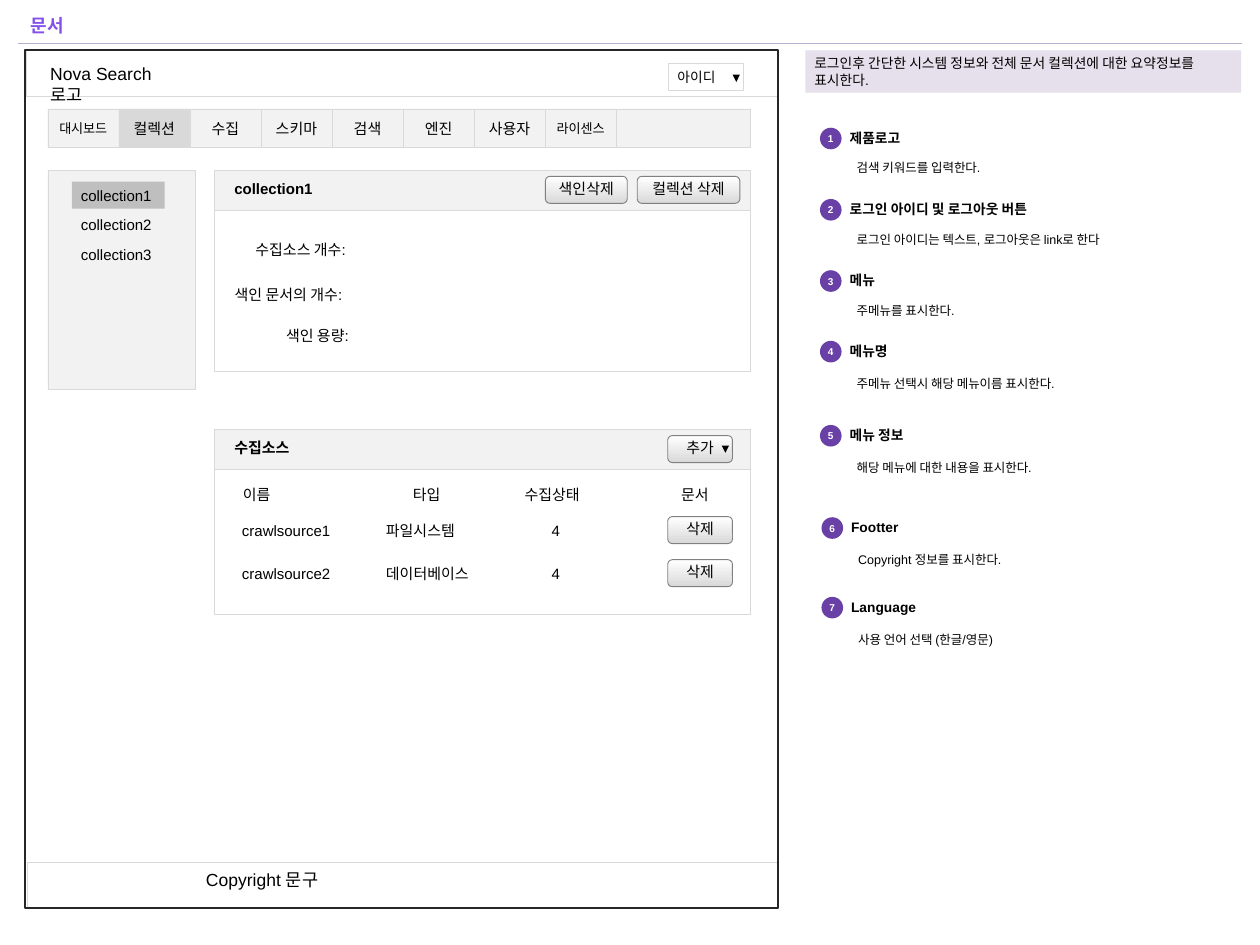
from lxml import etree
from pptx import Presentation
from pptx.dml.color import RGBColor
from pptx.enum.shapes import MSO_CONNECTOR, MSO_SHAPE
from pptx.enum.text import MSO_ANCHOR, MSO_AUTO_SIZE, PP_ALIGN
from pptx.oxml.ns import qn
from pptx.util import Pt

BLACK = RGBColor(0, 0, 0)
WHITE = RGBColor(255, 255, 255)
VIOLET = RGBColor(0x83, 0x50, 0xEA)
PURPLE = RGBColor(0x69, 0x40, 0xA6)
LAVENDER = RGBColor(0xE6, 0xE0, 0xEC)
RULE = RGBColor(0xB7, 0xB1, 0xCF)
PALE = RGBColor(0xF2, 0xF2, 0xF2)
LIGHT = RGBColor(0xD9, 0xD9, 0xD9)
SELECTED = RGBColor(0xBF, 0xBF, 0xBF)
BUTTON_EDGE = RGBColor(0x80, 0x80, 0x80)
FRAME = RGBColor(0x26, 0x26, 0x26)
MENU_FONT = "Noto Sans CJK KR"

TITLE = "문서"
SUMMARY = "로그인후 간단한 시스템 정보와 전체 문서 컬렉션에 대한 요약정보를 표시한다."
NOTES = [
    (656, 102.2, 22.4, "제품로고", "검색 키워드를 입력한다."),
    (656, 159.2, 22.9, "로그인 아이디 및 로그아웃 버튼", "로그인 아이디는 텍스트, 로그아웃은 link로 한다"),
    (656, 216.2, 22.4, "메뉴", "주메뉴를 표시한다."),
    (656, 272.7, 24.7, "메뉴명", "주메뉴 선택시 해당 메뉴이름 표시한다."),
    (656, 340, 24.4, "메뉴 정보", "해당 메뉴에 대한 내용을 표시한다."),
    (657.2, 413.8, 24, "Footter", "Copyright 정보를 표시한다."),
    (657.2, 477.5, 24.4, "Language", "사용 언어 선택 (한글/영문)"),
]
MENU = ["대시보드", "컬렉션", "수집", "스키마", "검색", "엔진", "사용자", "라이센스"]
SMALL_MENU = {"대시보드", "라이센스"}
CURRENT_MENU = "컬렉션"
COLLECTIONS = ["collection1", "collection2", "collection3"]
STATS = [
    (197.3, 188.6, 98.6, "수집소스 개수: "),
    (180.7, 224.6, 115.2, "색인 문서의 개수: "),
    (221.8, 257.8, 74.2, "색인 용량: "),
]
PANELS = [
    (136.3, 128.9, 77, "collection1"),
    (343.7, 115.9, 63.4, "수집소스"),
]
HEADERS = [(187.2, 38.9, "이름"), (323.3, 38.9, "타입"),
           (412.6, 63.4, "수집상태"), (537.8, 38.9, "문서")]
SOURCES = [
    (413.3, [(186.5, 85.7, "crawlsource1"), (301.7, 74.9, "파일시스템"), (434.2, 20.9, "4")]),
    (447.8, [(186.5, 85.7, "crawlsource2"), (301.7, 87.1, "데이터베이스"), (434.2, 20.9, "4")]),
]
BUTTONS = [(509.8, 141.1, 82.1, "컬렉션 삭제"), (436.3, 141.1, 65.5, "색인삭제"),
           (534.2, 348.5, 51.8, "추가")]
BUTTONS += [(534.2, y, 51.8, "삭제") for y, cells in SOURCES]
ARROWS = [(586.1, 59.8), (577.4, 356.4)]

prs = Presentation()
prs.slide_width, prs.slide_height = Pt(1008), Pt(756)
slide = prs.slides.add_slide(prs.slide_layouts[5])


def write(shape, text, size, font="Arial", color=BLACK, bold=False, align=PP_ALIGN.LEFT,
          anchor=MSO_ANCHOR.TOP, insets=(7.2, 3.6, 7.2, 3.6), wrap=True):
    frame = shape.text_frame
    frame.word_wrap = wrap
    frame.auto_size = MSO_AUTO_SIZE.NONE if wrap else MSO_AUTO_SIZE.SHAPE_TO_FIT_TEXT
    frame.vertical_anchor = anchor
    (frame.margin_left, frame.margin_top,
     frame.margin_right, frame.margin_bottom) = map(Pt, insets)
    paragraph = frame.paragraphs[0]
    paragraph.alignment = align
    run = paragraph.add_run()
    run.text = text
    run.font.size, run.font.name, run.font.bold = Pt(size), font, bold
    run.font.color.rgb = color


def box(x, y, w, h, fill=None, line=None, weight=0.25, kind=MSO_SHAPE.RECTANGLE):
    shape = slide.shapes.add_shape(kind, Pt(x), Pt(y), Pt(w), Pt(h))
    shape.shadow.inherit = False
    if fill is None:
        shape.fill.background()
    else:
        shape.fill.solid()
        shape.fill.fore_color.rgb = fill
    if line is None:
        shape.line.fill.background()
    else:
        shape.line.color.rgb = line
        shape.line.width = Pt(weight)
    return shape


def label(x, y, w, h, text, size=12, **style):
    write(slide.shapes.add_textbox(Pt(x), Pt(y), Pt(w), Pt(h)), text, size, **style)


def button(x, y, w, text):
    shape = box(x, y, w, 21.6, LIGHT, BUTTON_EDGE, 0.75, MSO_SHAPE.ROUNDED_RECTANGLE)
    shape.fill.gradient()
    shape.fill.gradient_angle = 90
    for stop, color in zip(shape.fill.gradient_stops, (LIGHT, WHITE)):
        stop.color.rgb = color
    write(shape, text, 12, align=PP_ALIGN.CENTER, anchor=MSO_ANCHOR.MIDDLE,
          insets=(7.2, 0, 7.2, 2.9))


title = slide.shapes.title
title.left, title.top, title.width, title.height = Pt(14.4), Pt(5.8), Pt(703.4), Pt(29.5)
write(title, TITLE, 14.4, "Karla", VIOLET, True, anchor=MSO_ANCHOR.MIDDLE,
      insets=(10, 5, 10, 5))
rule = slide.shapes.add_connector(MSO_CONNECTOR.STRAIGHT, Pt(14.4), Pt(34.6), Pt(993.6), Pt(34.6))
rule.line.color.rgb, rule.line.width = RULE, Pt(0.75)
etree.SubElement(rule.element.spPr, qn("a:effectLst"))

write(box(644.4, 40.3, 348.5, 33.8, LAVENDER), SUMMARY, 11)
for number, (x, y, gap, heading, detail) in enumerate(NOTES, 1):
    badge = box(x, y, 17.3, 17.3, PURPLE, kind=MSO_SHAPE.OVAL)
    write(badge, str(number), 8, color=WHITE, bold=True, align=PP_ALIGN.CENTER,
          anchor=MSO_ANCHOR.MIDDLE, insets=(0, 0, 0, 0))
    label(x + 16.6, y - 2.3, 320.4, 20.9, heading, 11, bold=True)
    label(x + 22.3, y + gap, 315.4, 19.4, detail, 10)

box(21.6, 689.8, 601.2, 36.7, line=LIGHT)
label(157.7, 691.9, 110.9, 24.5, "Copyright 문구", 14, wrap=False)
box(20.9, 40.3, 601.2, 36.7, line=LIGHT)
label(33.1, 46.8, 106, 24.5, "Nova Search 로고", 14)
write(box(534.9, 51.1, 59.8, 20.9, line=LIGHT, weight=0.75), "아이디", 11)

box(38.2, 87.1, 562.3, 31, PALE, LIGHT)
for i, name in enumerate(MENU):
    tab = box(38.2 + 56.85 * i, 87.1, 56.85, 31, LIGHT if name == CURRENT_MENU else PALE, LIGHT)
    write(tab, name, 10.5 if name in SMALL_MENU else 12, MENU_FONT,
          align=PP_ALIGN.CENTER, anchor=MSO_ANCHOR.MIDDLE)

box(38.2, 136.1, 118.1, 175.7, PALE, LIGHT)
for i, name in enumerate(COLLECTIONS):
    item = box(57.6, 145.4 + 23.76 * i, 74.2, 21.6, SELECTED if i == 0 else None)
    write(item, name, 12, wrap=False)

for y, body, width, heading in PANELS:
    box(171.4, y, 429.1, 32, PALE, LIGHT)
    box(171.4, y + 32, 429.1, body, line=LIGHT)
    label(180.4, y + 3.4, width, 21.8, heading, bold=True, wrap=False)
for x, y, w, text in STATS:
    label(x, y, w, 21.8, text, wrap=False)
for y, cells in [(384.5, HEADERS)] + SOURCES:
    for x, w, text in cells:
        label(x, y, w, 21.8, text, wrap=False)

for spec in BUTTONS:
    button(*spec)
for x, y in ARROWS:
    box(x, y, 5.8, 5.8, BLACK, kind=MSO_SHAPE.ISOSCELES_TRIANGLE).rotation = 180
box(20.2, 40.3, 601.9, 686.2, line=FRAME, weight=1.5)

prs.save("out.pptx")
